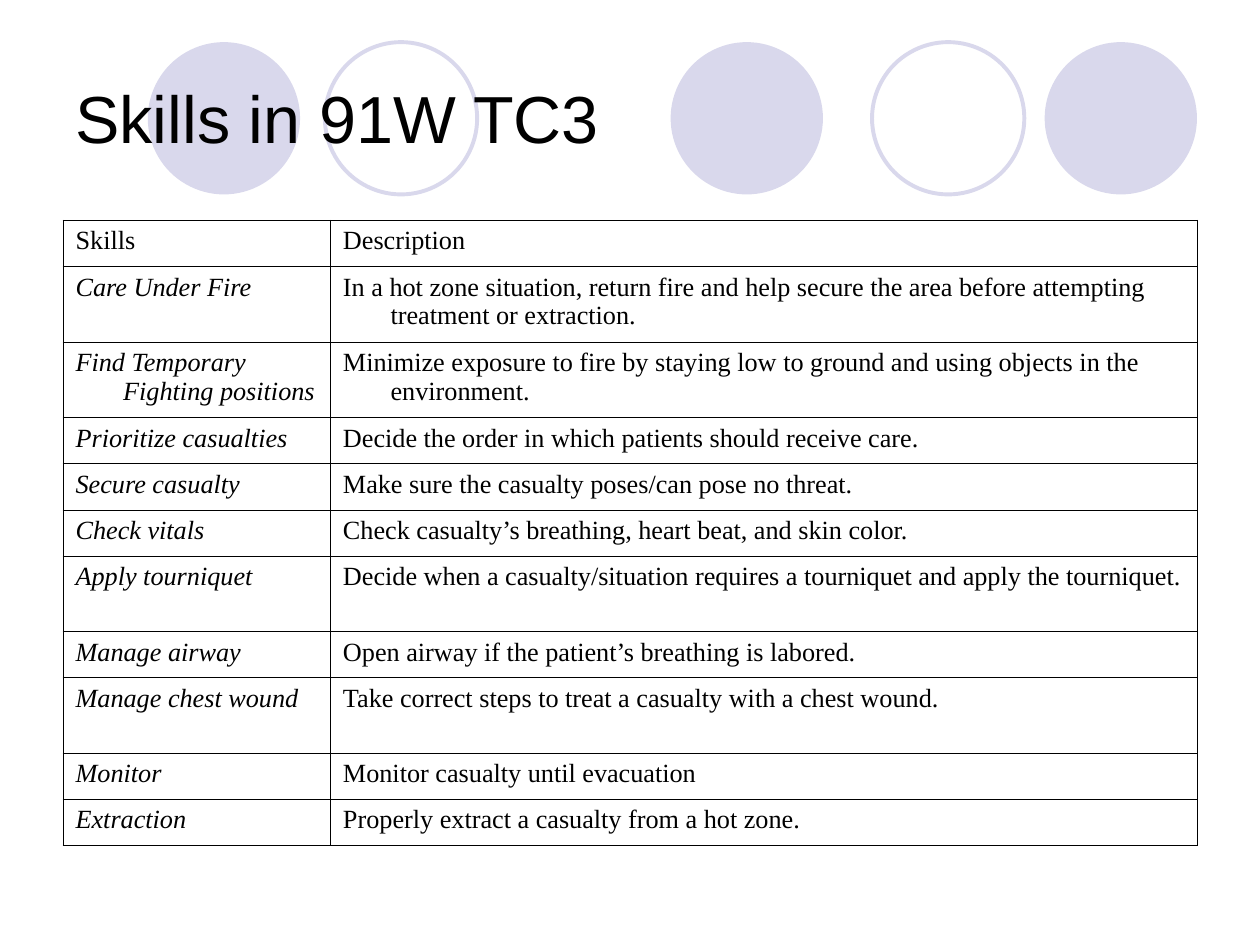
from lxml.etree import SubElement
from pptx import Presentation
from pptx.dml.color import RGBColor
from pptx.enum.shapes import MSO_SHAPE
from pptx.enum.text import MSO_ANCHOR
from pptx.oxml.ns import qn
from pptx.util import Cm, Pt


def color(code):
    return RGBColor.from_string(code)


def style(para, name, size):
    font = para.font
    font.name, font.size = name, Pt(size)
    font.color.rgb = color("000000")


deck = Presentation()
deck.slide_width, deck.slide_height = Cm(25.4), Cm(19.05)
slide = deck.slides.add_slide(deck.slide_layouts[6])

# Row of circles behind the title: left edge, filled or outlined
circles = [(13.52, True), (21.06, True), (2.98, True),
           (17.58, False), (6.55, False)]
for left, solid in circles:
    disc = slide.shapes.add_shape(
        MSO_SHAPE.OVAL, Cm(left), Cm(0.85), Cm(3.07), Cm(3.07))
    disc.shadow.inherit = False
    if solid:
        disc.fill.solid()
        disc.fill.fore_color.rgb = color("D9D8EC")
        disc.line.fill.background()
    else:
        disc.fill.background()
        disc.line.color.rgb = color("D9D8EC")
        disc.line.width = Pt(2.25)

# Title
title = slide.shapes.add_textbox(Cm(1.27), Cm(0.76), Cm(22.86), Cm(3.18))
frame = title.text_frame
frame.word_wrap = True
frame.vertical_anchor = MSO_ANCHOR.MIDDLE
frame.text = "Skills in 91W TC3"
style(frame.paragraphs[0], "Arial", 38)

# Table of skills
rows = [
    ("Skills", "Description"),
    ("Care Under Fire",
     "In a hot zone situation, return fire and help secure the area "
     "before attempting treatment or extraction."),
    ("Find Temporary Fighting positions",
     "Minimize exposure to fire by staying low to ground and using "
     "objects in the environment."),
    ("Prioritize casualties",
     "Decide the order in which patients should receive care."),
    ("Secure casualty", "Make sure the casualty poses/can pose no threat."),
    ("Check vitals", "Check casualty’s breathing, heart beat, and skin color."),
    ("Apply tourniquet",
     "Decide when a casualty/situation requires a tourniquet and "
     "apply the tourniquet."),
    ("Manage airway", "Open airway if the patient’s breathing is labored."),
    ("Manage chest wound",
     "Take correct steps to treat a casualty with a chest wound."),
    ("Monitor", "Monitor casualty until evacuation"),
    ("Extraction", "Properly extract a casualty from a hot zone."),
]
tall = {1, 2, 6, 8}

table = slide.shapes.add_table(
    len(rows), 2, Cm(1.27), Cm(4.44), Cm(22.86), Cm(12.6)).table
table.first_row = table.horz_banding = False
table.columns[0].width = Cm(5.39)
table.columns[1].width = Cm(17.47)

for r, texts in enumerate(rows):
    table.rows[r].height = Cm(1.52 if r in tall else 0.93)
    for c, text in enumerate(texts):
        cell = table.cell(r, c)
        cell.text = text
        para = cell.text_frame.paragraphs[0]
        # Hanging indent
        props = para._p.get_or_add_pPr()
        props.set("marL", str(Cm(0.96)))
        props.set("indent", str(-Cm(0.96)))
        style(para, "Times New Roman", 15)
        para.font.italic = r > 0 and c == 0
        # Thin black borders, which come before the fill
        box = cell._tc.get_or_add_tcPr()
        for side in ("a:lnL", "a:lnR", "a:lnT", "a:lnB"):
            line = SubElement(box, qn(side), w=str(Pt(0.45)))
            fill = SubElement(line, qn("a:solidFill"))
            SubElement(fill, qn("a:srgbClr"), val="000000")
        cell.fill.background()

deck.save("out.pptx")
